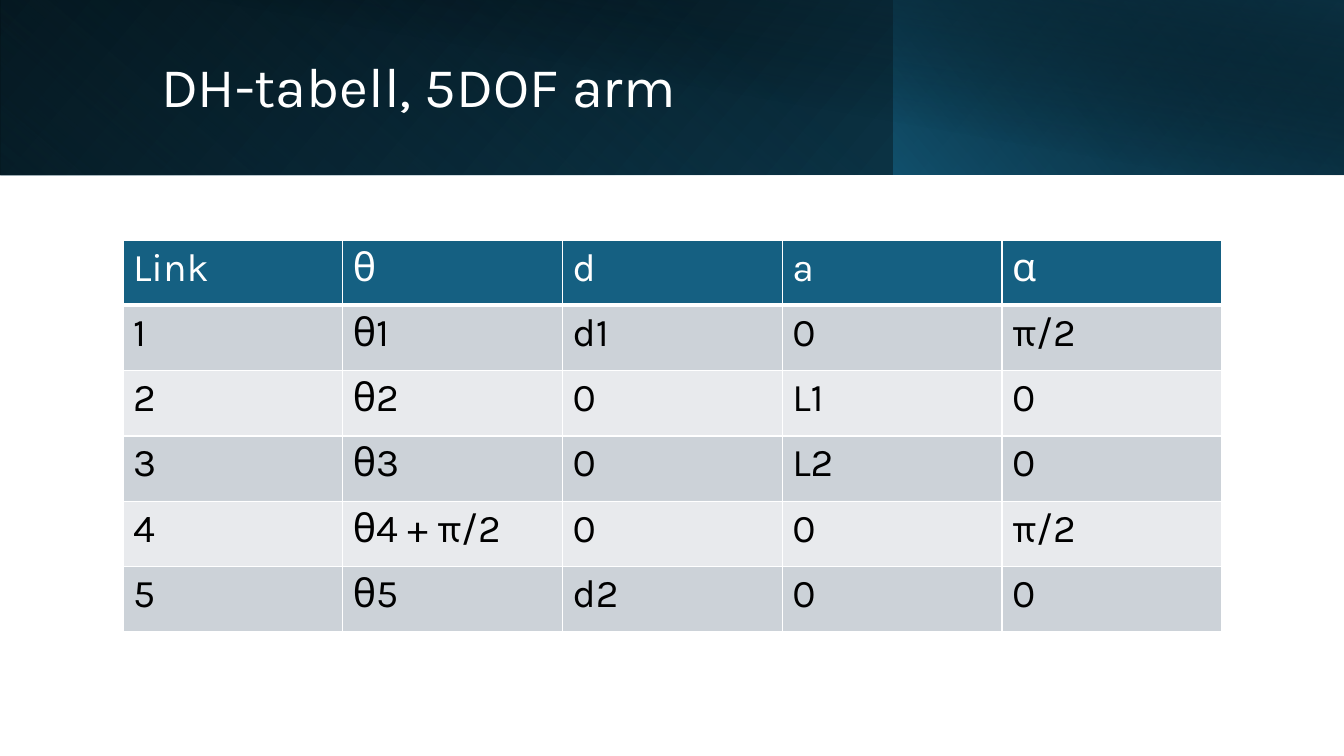
from dataclasses import dataclass

from lxml import etree
from pptx import Presentation, util as u
from pptx.dml.color import RGBColor
from pptx.enum import shapes, text
from pptx.oxml import ns

PX = 12192000 / 1344  # EMU per px


@dataclass(frozen=True)
class Theme:
    font: str = "Karla"
    title_size: int = 40
    table_size: int = 28
    white: str = "FFFFFF"
    black: str = "000000"
    blue: str = "156082"
    mid_blue: str = "104862"
    dark_blue: str = "0B3041"
    odd_row: str = "CCD2D8"
    even_row: str = "E8EAED"


def px(*lengths):
    return [u.Emu(round(n * PX)) for n in lengths]


def add(parent, tag, **attrs):
    return etree.SubElement(parent, ns.qn(tag), {k: str(v) for k, v in attrs.items()})


def add_color(parent, color):
    return add(parent, "a:srgbClr", val=color)


class Deck:
    def __init__(self, theme):
        self.theme = theme
        self.prs = Presentation()
        self.prs.slide_width, self.prs.slide_height = px(1344, 756)
        self.s = self.prs.slides.add_slide(self.prs.slide_layouts[5])

    def style(self, p, size, color):
        p.font.name = self.theme.font
        p.font.size = u.Pt(size)
        p.font.color.rgb = RGBColor.from_string(color)

    def band(self, box, stops, angle, flip=True, rotation=0):
        """Add a gradient rectangle; stops are (position, colour, opacity) with percentages."""
        sp = self.s.shapes.add_shape(shapes.MSO_SHAPE.RECTANGLE, *px(*box))
        sp.shadow.inherit = False
        sp.line.fill.background()
        sp.rotation = rotation
        spPr = sp._element.spPr
        if flip:
            spPr.xfrm.set("flipH", "1")
        grad = etree.Element(ns.qn("a:gradFill"), rotWithShape="1")
        gs_list = add(grad, "a:gsLst")
        for pos, color, opacity in stops:
            clr = add_color(add(gs_list, "a:gs", pos=pos * 1000), color)
            if opacity < 100:
                add(clr, "a:alpha", val=opacity * 1000)
        add(grad, "a:lin", ang=angle * 60000, scaled=0)
        spPr.find(ns.qn("a:prstGeom")).addnext(grad)

    def title(self, box, words):
        sp = self.s.shapes.title
        sp.left, sp.top, sp.width, sp.height = px(*box)
        self.s.shapes._spTree.append(sp._element)  # in front of the bands
        tf = sp.text_frame
        tf.text = words
        tf.word_wrap = True
        tf.auto_size = text.MSO_AUTO_SIZE.NONE
        tf.vertical_anchor = text.MSO_ANCHOR.MIDDLE
        p = tf.paragraphs[0]
        p.alignment = text.PP_ALIGN.LEFT
        p.line_spacing = 0.9
        self.style(p, self.theme.title_size, self.theme.white)

    def borders(self, cell, top, bottom):
        tcPr = cell._tc.get_or_add_tcPr()
        for side, width in zip("LRTB", (1, 1, top, bottom)):
            ln = add(tcPr, f"a:ln{side}", w=u.Pt(width))
            add_color(add(ln, "a:solidFill"), self.theme.white)

    def table(self, box, rows):
        t = self.theme
        frame = self.s.shapes.add_table(len(rows), len(rows[0]), *px(*box))
        for i, row in enumerate(rows):
            fill = t.blue if i == 0 else (t.even_row, t.odd_row)[i % 2]
            for j, words in enumerate(row):
                cell = frame.table.cell(i, j)
                self.borders(cell, 3 if i == 1 else 1, 3 if i == 0 else 1)
                cell.fill.solid()
                cell.fill.fore_color.rgb = RGBColor.from_string(fill)
                cell.text = words
                p = cell.text_frame.paragraphs[0]
                self.style(p, t.table_size, t.black if i else t.white)
                p.font.bold = False


def main():
    t = Theme()
    deck = Deck(t)
    deck.band((0, 0, 1344, 175), [(0, t.black, 100), (100, t.mid_blue, 100)], 140)
    deck.band((0, 0, 895, 175), [(20, t.blue, 0), (100, t.dark_blue, 55)], 230, rotation=180)
    deck.band((894, 0, 450, 175), [(0, t.blue, 66), (100, t.black, 30)], 220)
    deck.band((50, 0, 1294, 176), [(50, t.black, 0), (99, t.dark_blue, 52)], 280, flip=False)
    deck.title((151, 32, 1091, 114), "DH-tabell, 5DOF arm")
    deck.table((123, 240, 1099, 392), [
        ("Link", "θ", "d", "a", "α"),
        ("1", "θ1", "d1", "0", "π/2"),
        ("2", "θ2", "0", "L1", "0"),
        ("3", "θ3", "0", "L2", "0"),
        ("4", "θ4 + π/2", "0", "0", "π/2"),
        ("5", "θ5", "d2", "0", "0"),
    ])
    deck.prs.save("out.pptx")


if __name__ == "__main__":
    main()
